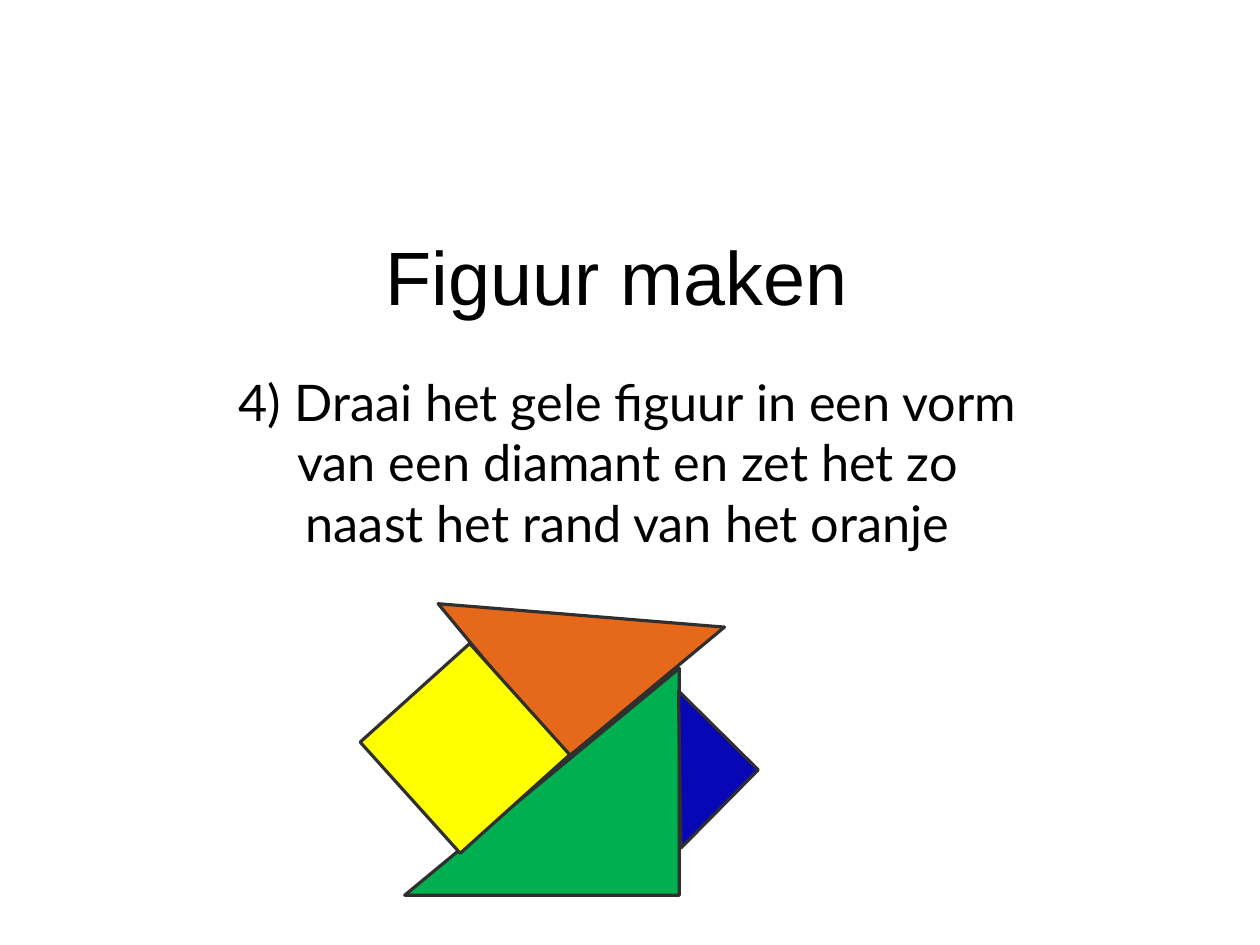
from dataclasses import dataclass

from pptx import Presentation
from pptx.dml.color import RGBColor
from pptx.enum.shapes import MSO_SHAPE
from pptx.enum.text import MSO_ANCHOR, PP_ALIGN
from pptx.util import Cm, Pt


@dataclass(frozen=True)
class Theme:
    text: str = "000000"
    outline: str = "2F2F2F"
    green: str = "00B050"
    blue: str = "0707B5"
    orange: str = "E6681A"
    yellow: str = "FFFF00"
    title_font: str = "Arial"
    body_font: str = "Lato"
    title_size: int = 48
    body_size: int = 32
    line_width: int = 2


class SlideBuilder:
    """Holds the theme and the current slide, and adds styled elements to it."""

    def __init__(self, prs, theme):
        self.theme = theme
        self.s = prs.slides.add_slide(prs.slide_layouts[6])

    def text(self, box, words, font, size, top_inset=0.25):
        tf = self.s.shapes.add_textbox(*map(Cm, box)).text_frame
        frame_format = {
            "word_wrap": True,
            "vertical_anchor": MSO_ANCHOR.TOP,
            "margin_left": Cm(0.25),
            "margin_right": Cm(0.25),
            "margin_top": Cm(top_inset),
            "margin_bottom": Cm(0.25),
        }
        for name, value in frame_format.items():
            setattr(tf, name, value)
        p = tf.paragraphs[0]
        p.alignment = PP_ALIGN.CENTER
        r = p.add_run()
        r.text = words
        for name, value in {"name": font, "size": Pt(size)}.items():
            setattr(r.font, name, value)
        r.font.color.rgb = RGBColor.from_string(self.theme.text)

    def piece(self, kind, box, rotation, color):
        sp = self.s.shapes.add_shape(kind, *map(Cm, box))
        sp.rotation = rotation
        sp.shadow.inherit = False
        sp.fill.solid()
        sp.fill.fore_color.rgb = RGBColor.from_string(color)
        sp.line.color.rgb = RGBColor.from_string(self.theme.outline)
        sp.line.width = Pt(self.theme.line_width)


def main():
    prs = Presentation()
    prs.slide_width, prs.slide_height = Cm(28.22), Cm(21.16)
    theme = Theme()
    slide = SlideBuilder(prs, theme)

    slide.text((2.24, 4.72, 23.14, 3.38), "Figuur maken",
               theme.title_font, theme.title_size, top_inset=0.43)
    slide.text((5.03, 8.05, 18.06, 2.54),
               "4) Draai het gele figuur in een vorm van een diamant "
               "en zet het zo naast het rand van het oranje",
               theme.body_font, theme.body_size)

    triangle, rectangle = MSO_SHAPE.RIGHT_TRIANGLE, MSO_SHAPE.RECTANGLE
    pieces = [
        (triangle, (9.6, 14.43, 5.08, 6.15), 270, theme.green),
        (triangle, (13.97, 16, 2.51, 2.46), 224.7, theme.blue),
        (triangle, (10.72, 11.53, 4.6, 4.5), 320.3, theme.orange),
        (rectangle, (8.74, 15.11, 3.35, 3.3), 48, theme.yellow),
    ]
    for piece in pieces:
        slide.piece(*piece)

    prs.save("out.pptx")


if __name__ == "__main__":
    main()
